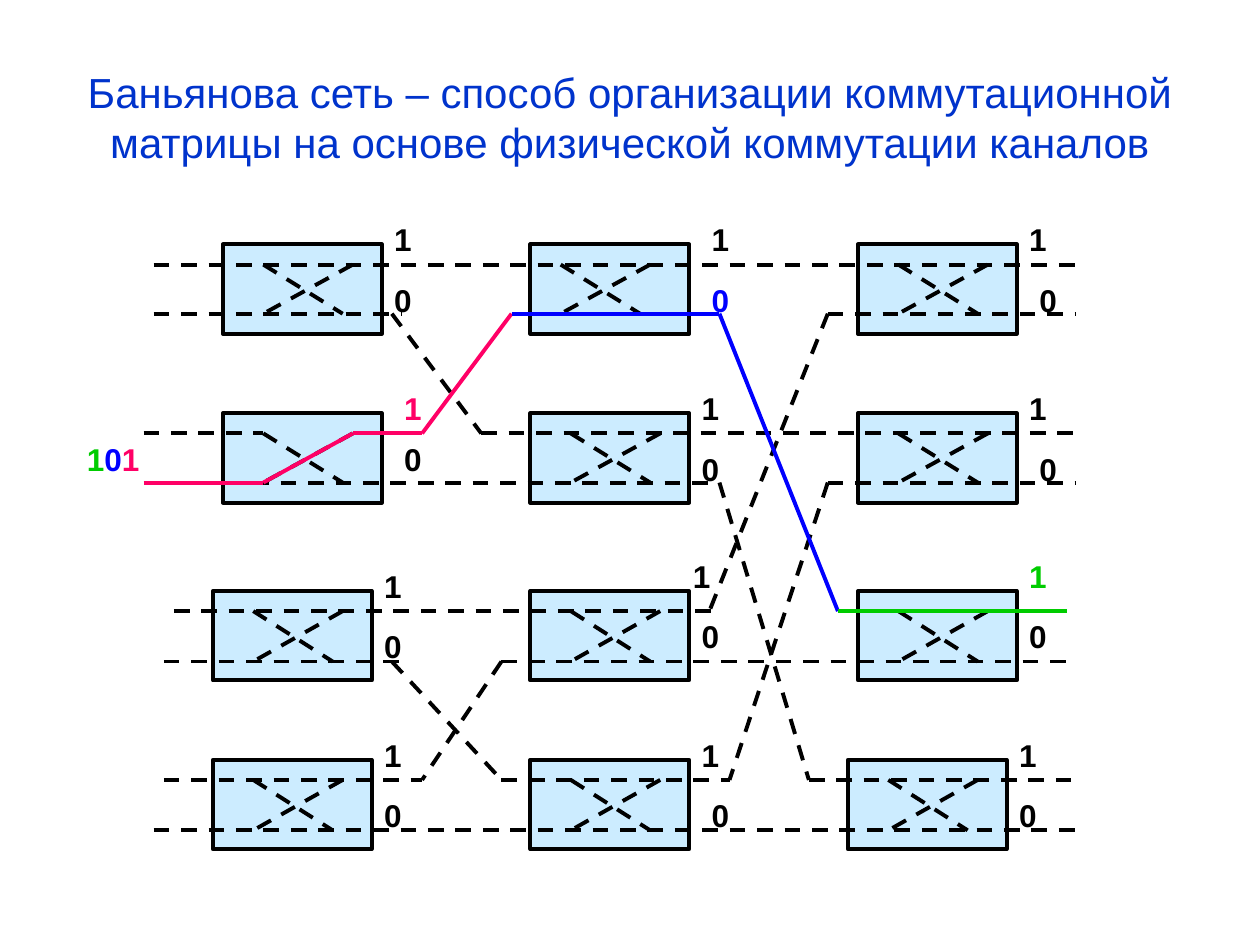
from lxml.etree import SubElement
from pptx import Presentation
from pptx.dml.color import RGBColor
from pptx.enum.dml import MSO_LINE
from pptx.enum.shapes import MSO_CONNECTOR, MSO_SHAPE
from pptx.enum.text import MSO_ANCHOR, MSO_AUTO_SIZE, PP_ALIGN
from pptx.oxml.ns import qn
from pptx.util import Inches, Pt

COLORS = {"title": "0033CC", "box": "CCECFF", "ink": "000000",
          "pink": "FF0066", "blue": "0000FF", "green": "00CC00"}

# Heights of the eight tracks, two to each row of switches
TRACKS = (2.1, 2.49, 3.44, 3.83, 4.85, 5.25, 6.19, 6.59)
WIDE, HIGH = 1.26, 0.71

# Switch: row, left, cross inset, shift (x, y) and colour of labels 1 and 0
NODES = [
    (0, 1.77, 0.32, (0, 0, "ink"), (0, 0, "ink")),
    (1, 1.77, 0.32, (0.08, 0, "pink"), (0.08, -0.08, "ink")),
    (2, 1.69, 0.32, (0, 0, "ink"), (0, 0, "ink")),
    (3, 1.69, 0.32, (0, 0, "ink"), (0, 0, "ink")),
    (0, 4.21, 0.24, (0.08, 0, "ink"), (0.08, 0, "blue")),
    (1, 4.21, 0.32, (0, 0, "ink"), (0, 0, "ink")),
    (2, 4.21, 0.32, (-0.07, -0.08, "ink"), (0, -0.08, "ink")),
    (3, 4.21, 0.32, (0, 0, "ink"), (0.08, 0, "ink")),
    (0, 6.81, 0.32, (0, 0, "ink"), (0.08, 0, "ink")),
    (1, 6.81, 0.32, (0, 0, "ink"), (0.08, 0, "ink")),
    (2, 6.81, 0.32, (0, -0.08, "green"), (0, -0.08, "ink")),
    (3, 6.73, 0.32, (0, 0, "ink"), (0, 0, "ink")),
]

# Wire: x and track of its start, x and track of its end
WIRES = [
    (1.22, 0, 8.62, 0), (2.01, 3, 5.71, 3), (6.42, 6, 8.54, 6),
    (5.71, 3, 6.42, 6), (3.82, 2, 8.54, 2), (1.22, 1, 3.19, 1),
    (3.11, 1, 3.82, 2), (1.38, 4, 5.71, 4), (6.57, 1, 8.54, 1),
    (6.57, 1, 5.63, 4), (3.98, 5, 8.47, 5), (1.3, 6, 3.35, 6),
    (3.98, 5, 3.35, 6), (1.22, 7, 8.54, 7), (6.57, 3, 8.54, 3),
    (3.98, 6, 5.79, 6), (6.57, 3, 5.79, 6), (1.3, 5, 3.19, 5),
    (3.11, 5, 3.98, 6), (1.14, 2, 2.09, 2),
]

# Route of the packet: (x, track) points for each address bit
ROUTE = [
    ("pink", [(1.14, 3), (2.09, 3), (2.8, 2), (3.35, 2), (4.06, 1)]),
    ("blue", [(4.06, 1), (5.71, 1), (6.65, 4)]),
    ("green", [(6.65, 4), (8.47, 4)]),
]


def tint(name):
    return RGBColor.from_string(COLORS[name])


def wire(slide, x1, start, x2, end, color="ink", dash=True):
    line = slide.shapes.add_connector(
        MSO_CONNECTOR.STRAIGHT, Inches(x1), Inches(TRACKS[start]),
        Inches(x2), Inches(TRACKS[end]))
    line.line.color.rgb = tint(color)
    line.line.width = Pt(2.25)
    if dash:
        line.line.dash_style = MSO_LINE.DASH
    SubElement(line._element.spPr, qn("a:effectLst"))


def label(slide, left, top, width, runs):
    box = slide.shapes.add_textbox(
        Inches(left), Inches(top), Inches(width), Inches(0.4))
    box.text_frame.word_wrap = False
    box.text_frame.auto_size = MSO_AUTO_SIZE.SHAPE_TO_FIT_TEXT
    para = box.text_frame.paragraphs[0]
    para.font.size, para.font.bold, para.font.name = Pt(18), True, "Arial"
    for text, color in runs:
        run = para.add_run()
        run.text = text
        run.font.color.rgb = tint(color)


def heading(slide, left, top, width, height):
    title = slide.shapes.title
    title.left, title.top = Inches(left), Inches(top)
    title.width, title.height = Inches(width), Inches(height)
    frame = title.text_frame
    frame.text = ("Баньянова сеть – способ организации коммутационной "
                  "матрицы на основе физической коммутации каналов")
    frame.word_wrap = True
    frame.auto_size = MSO_AUTO_SIZE.NONE
    frame.vertical_anchor = MSO_ANCHOR.MIDDLE
    para = frame.paragraphs[0]
    para.alignment = PP_ALIGN.CENTER
    para.font.size, para.font.name = Pt(24), "Arial"
    para.font.color.rgb = tint("title")


def switch(slide, left, top, width, height):
    box = slide.shapes.add_shape(
        MSO_SHAPE.RECTANGLE, Inches(left), Inches(top),
        Inches(width), Inches(height))
    box.shadow.inherit = False
    box.fill.solid()
    box.fill.fore_color.rgb = tint("box")
    box.line.color.rgb = tint("ink")
    box.line.width = Pt(2.25)


def cross(slide, left, row):
    upper, lower = 2 * row, 2 * row + 1
    wire(slide, left, upper, left + 0.63, lower)
    wire(slide, left + 0.71, upper, left, lower)


def network(slide):
    # Switches lie under the wires
    tops = [y - 0.16 for y in TRACKS[::2]]
    for row, left, *_ in NODES:
        switch(slide, left, tops[row], WIDE, HIGH)

    # Wires and crosses
    for ends in WIRES:
        wire(slide, *ends)
    for row, left, inset, *_ in NODES:
        cross(slide, left + inset, row)

    # Highlighted route
    for color, points in ROUTE:
        for start, end in zip(points, points[1:]):
            wire(slide, *start, *end, color, dash=False)

    # Output labels and the address
    for row, left, _, one, zero in NODES:
        for text, drop, (dx, dy, color) in (("1", -0.24, one), ("0", 0.24, zero)):
            label(slide, left + WIDE + dx, tops[row] + drop + dy, 0.34,
                  [(text, color)])
    label(slide, 0.59, 3.44, 0.65,
          [("1", "green"), ("0", "blue"), ("1", "pink")])


def main():
    deck = Presentation()
    deck.slide_width, deck.slide_height = Inches(10), Inches(7.5)
    slide = deck.slides.add_slide(deck.slide_layouts[5])
    heading(slide, 0.5, 0.3, 9, 1.25)
    network(slide)
    deck.save("out.pptx")


if __name__ == "__main__":
    main()
